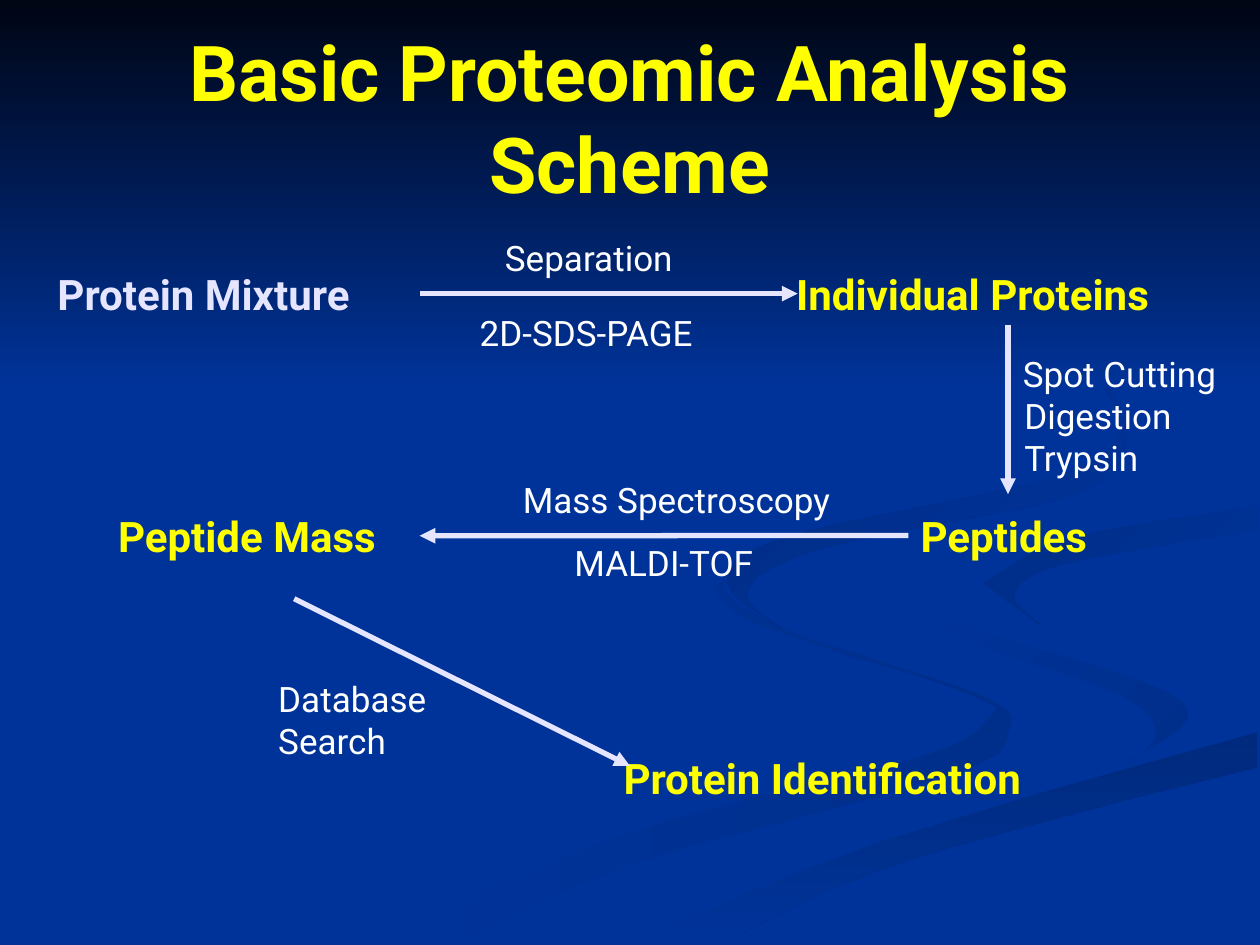
from lxml.etree import SubElement
from pptx import Presentation
from pptx.dml.color import RGBColor
from pptx.enum.shapes import MSO_CONNECTOR as Link
from pptx.enum.text import MSO_ANCHOR as Anchor, MSO_AUTO_SIZE as Fit, PP_ALIGN as Align
from pptx.oxml.ns import qn
from pptx.util import Cm, Pt

BLUE = RGBColor(0x00, 0x33, 0x99)
NIGHT = RGBColor(0x00, 0x05, 0x14)
DEEP = RGBColor(0x00, 0x2A, 0x7D)
DUSK = RGBColor(0x00, 0x2B, 0x82)
SHADE = RGBColor(0x00, 0x2D, 0x86)
DIM = RGBColor(0x00, 0x2E, 0x8B)
YELLOW = RGBColor(0xFF, 0xFF, 0x00)
PALE = RGBColor(0xE5, 0xE5, 0xFF)
WHITE = RGBColor(0xFF, 0xFF, 0xFF)

TITLE = "Basic Proteomic Analysis Scheme"

# Stages: text, left, top, width (cm), colour
STAGES = [
    ("Protein Mixture", 0.91, 5.28, 7.39, PALE),
    ("Individual Proteins", 15.8, 5.28, 8.81, YELLOW),
    ("Peptides", 18.31, 10.16, 4.17, YELLOW),
    ("Peptide Mass", 2.13, 10.16, 6.1, YELLOW),
    ("Protein Identification", 12.32, 15.04, 9.78, YELLOW),
]

# Methods: lines, left, top, width (cm)
METHODS = [
    (["Separation"], 9.93, 4.65, 4.17),
    (["2D-SDS-PAGE"], 9.42, 6.15, 5),
    (["Spot Cutting"], 20.37, 6.99, 4.6),
    (["Digestion", "Trypsin"], 20.4, 7.82, 3.66),
    (["Mass Spectroscopy"], 10.29, 9.53, 6.83),
    (["MALDI-TOF"], 11.33, 10.8, 4.47),
    (["Database", "Search"], 5.36, 13.54, 3.78),
]

# Arrows: start x, y, end x, y (cm), stage and side joined at the start
ARROWS = [
    (8.46, 5.92, 16.08, 5.92, None),
    (20.32, 6.55, 20.32, 9.96, None),
    (18.31, 10.8, 8.46, 10.8, ("Peptides", 1)),
    (5.93, 12.07, 12.7, 15.44, None),
]

# Ribbon edges: key points of smooth curves on a fine grid
GRID = Cm(2.54) / 100
EDGES = {
    "left out": [(575, 459), (583, 477), (642, 507), (781, 553), (800, 581),
                 (756, 614), (499, 687), (361, 749)],
    "left in": [(575, 459), (570, 472), (611, 499), (770, 551), (785, 570),
                (727, 602), (499, 661), (300, 749)],
    "mid out": [(724, 464), (745, 490), (905, 540), (943, 570), (894, 605)],
    "mid in": [(724, 464), (746, 500), (892, 553), (917, 585), (894, 605)],
    "tail": [(894, 605), (743, 643), (477, 749)],
    "low top": [(503, 749), (696, 669), (998, 581)],
    "low base": [(571, 749), (722, 682), (998, 609)],
    "bay": [(998, 538), (832, 498), (781, 463)],
    "lip": [(781, 463), (850, 427), (998, 402)],
    "rim": [(998, 387), (808, 417), (724, 464)],
    "hook": [(781, 463), (826, 496), (805, 472), (843, 448), (998, 420)],
    "top out": [(762, 233), (843, 275), (893, 335), (855, 391), (649, 436),
                (593, 470), (622, 500)],
    "top in": [(762, 233), (846, 279), (889, 335), (842, 378), (625, 426),
               (577, 462), (622, 500)],
}

# Ribbons: first colour, last colour, clockwise angle, edges ("-" runs back)
RIBBONS = [
    (BLUE, DIM, 0, ["left out", "-left in"]),
    (BLUE, DIM, 45, ["mid out", "-mid in"]),
    (DEEP, BLUE, 90, ["low top", "-low base"]),
    (BLUE, BLUE, 0, ["mid out", "tail", "low top", "bay", "lip", "rim"]),
    (SHADE, BLUE, 45, ["hook", "-lip"]),
    (DUSK, BLUE, 45, ["top out", "-top in"]),
]
STEPS = 5

deck = Presentation()
deck.slide_width, deck.slide_height = Cm(25.4), Cm(19.05)
slide = deck.slides.add_slide(deck.slide_layouts[6])
shapes = slide.shapes
slide.background.fill.solid()
slide.background.fill.fore_color.rgb = BLUE


def curve(keys):
    """Pass a Catmull-Rom curve through the key points."""
    pad = [keys[0], *keys, keys[-1]]
    points = [keys[0]]
    for quad in zip(pad, pad[1:], pad[2:], pad[3:]):
        for step in range(1, STEPS + 1):
            t = step / STEPS
            points.append(tuple(
                round(b + ((c - a) * t + (2 * a - 5 * b + 4 * c - d) * t ** 2
                           + (3 * b - a - 3 * c + d) * t ** 3) / 2)
                for a, b, c, d in zip(*quad)))
    return points


def trace(names):
    points = []
    for name in names:
        edge = curve(EDGES[name.lstrip("-")])
        points += edge[::-1] if name.startswith("-") else edge
    return points


def draw(first, last, angle, points):
    pen = shapes.build_freeform(*points[0], scale=GRID)
    pen.add_line_segments(points[1:], close=True)
    form = pen.convert_to_shape()
    form.shadow.inherit = False
    form.line.fill.background()
    if first == last:
        form.fill.solid()
        form.fill.fore_color.rgb = first
        return
    form.fill.gradient()
    form.fill.gradient_angle = -angle % 360
    for stop, color, place in zip(form.fill.gradient_stops, (first, last), (0, 1)):
        stop.color.rgb, stop.position = color, place


def write(lines, left, top, width, height, look, wrap=False):
    box = shapes.add_textbox(Cm(left), Cm(top), Cm(width), Cm(height))
    frame = box.text_frame
    frame.word_wrap = wrap
    frame.auto_size = Fit.NONE if wrap else Fit.SHAPE_TO_FIT_TEXT
    frame.text = "\n".join(lines)
    for para in frame.paragraphs:
        para.font.color.rgb = look["color"]
        for key in ("name", "size", "bold"):
            setattr(para.font, key, look[key])
    return box


# Backdrop ribbons and top fade
for first, last, angle, names in RIBBONS:
    draw(first, last, angle, trace(names))
draw(NIGHT, BLUE, 90, [(0, 0), (0, 308), (1000, 308), (1000, 0)])

# Title
look = {"name": "Roboto", "size": Pt(44), "bold": True, "color": YELLOW}
head = write([TITLE], 1.27, 0.76, 22.86, 3.18, look, wrap=True).text_frame
head.vertical_anchor = Anchor.MIDDLE
head.paragraphs[0].alignment = Align.CENTER

# Stages and methods
stages = {}
for text, left, top, width, color in STAGES:
    look.update(size=Pt(24), color=color)
    stages[text] = write([text], left, top, width, 1.27, look)
look.update(size=Pt(20), bold=False, color=WHITE)
for lines, left, top, width in METHODS:
    write(lines, left, top, width, 0.27 + 0.85 * len(lines), look)

# Arrows
for *ends, joint in ARROWS:
    arrow = shapes.add_connector(Link.STRAIGHT, *map(Cm, ends))
    if joint:
        arrow.begin_connect(stages[joint[0]], joint[1])
    arrow.line.color.rgb = PALE
    arrow.line.width = Pt(3)
    props = arrow._element.spPr
    SubElement(props.find(qn("a:ln")), qn("a:tailEnd"), type="triangle")
    SubElement(props, qn("a:effectLst"))

deck.save("out.pptx")
